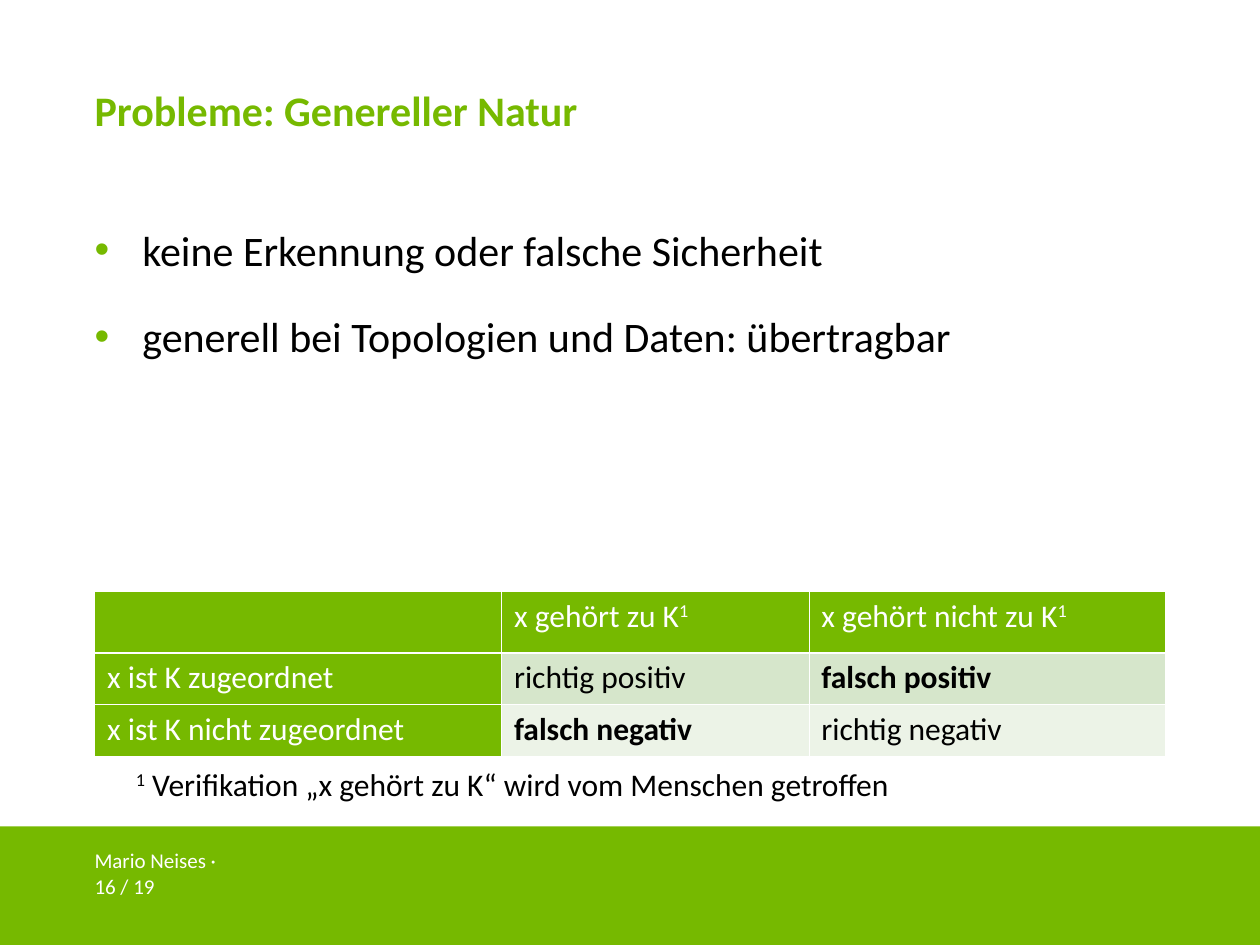
import pptx
import pptx.dml.color
import pptx.enum.shapes
import pptx.enum.text
import pptx.oxml
import pptx.oxml.ns
import pptx.util
from pptx.util import Inches

RGBColor = pptx.dml.color.RGBColor
GREEN = RGBColor(0x76, 0xB9, 0x00)
PALE = RGBColor(0xD6, 0xE6, 0xCB)
FAINT = RGBColor(0xEC, 0xF3, 0xE7)
WHITE = RGBColor(0xFF, 0xFF, 0xFF)
BLACK = RGBColor(0, 0, 0)
FONT = "Calibri"
LEFT, WIDTH = 0.75, 8.5


def node(xml):
    """Return an element built from DrawingML text."""
    head, tail = xml.split(" ", 1)
    return pptx.oxml.parse_xml(f"{head} {pptx.oxml.ns.nsdecls('a')} {tail}")


def place(shape, left, top, width, height):
    """Move and size a shape in inches."""
    shape.left, shape.top = Inches(left), Inches(top)
    shape.width, shape.height = Inches(width), Inches(height)


def style(font, size, color, bold=False):
    """Set the look of a font."""
    font.name, font.size, font.bold = FONT, pptx.util.Pt(size), bold
    font.color.rgb = color


def write(para, text, size, color, bold=False):
    """Write text in which carets enclose superscripts."""
    para.alignment = pptx.enum.text.PP_ALIGN.LEFT
    for pos, part in enumerate(text.split("^")):
        if part:
            run = para.add_run()
            run.text = part
            style(run.font, size, color, bold)
            if pos % 2:
                run.font._element.set("baseline", "30000")


def frame(shape):
    """Strip margins and autofit from a text frame."""
    box = shape.text_frame
    box.margin_left = box.margin_right = box.margin_top = box.margin_bottom = 0
    box.auto_size = pptx.enum.text.MSO_AUTO_SIZE.NONE
    box.vertical_anchor = pptx.enum.text.MSO_ANCHOR.TOP
    box.word_wrap = True
    return box


def add_bar(slide, *area):
    """Add a plain green rectangle."""
    kind = pptx.enum.shapes.MSO_SHAPE.RECTANGLE
    bar = slide.shapes.add_shape(kind, *map(Inches, area))
    bar.shadow.inherit = False
    bar.fill.solid()
    bar.fill.fore_color.rgb = GREEN
    bar.line.fill.background()
    return bar


def add_title(slide, text):
    """Fill the title placeholder."""
    title = slide.shapes.title
    place(title, LEFT, 0.67, WIDTH, 0.83)
    write(frame(title).paragraphs[0], text, 24, GREEN, True)


def add_list(slide, items):
    """Fill the body placeholder with bullets."""
    body = slide.placeholders[1]
    place(body, LEFT, 1.58, WIDTH, 4.83)
    box = frame(body)
    box.text = "\n".join(items)
    for pos, para in enumerate(box.paragraphs):
        props = para._p.get_or_add_pPr()
        props.set("marL", str(Inches(0.38)))
        props.set("indent", str(-Inches(0.38)))
        props.append(node(f'<a:buClr ><a:srgbClr val="{GREEN}"/></a:buClr>'))
        props.append(node('<a:buFont typeface="Arial"/>'))
        props.append(node('<a:buChar char="•"/>'))
        para.line_spacing = 1.5
        para.space_before = pptx.util.Pt(6 if pos else 0)
        style(para.runs[0].font, 24, BLACK)


def add_foot(slide, lines):
    """Add the footer band and its text."""
    add_bar(slide, 0, 6.56, 10, 0.94)
    box = frame(add_bar(slide, LEFT, 6.73, 4.25, 0.5))
    box.text = "\n".join(lines)
    for para in box.paragraphs:
        para.alignment = pptx.enum.text.PP_ALIGN.LEFT
        style(para.runs[0].font, 12, WHITE)


def edge(cell, top, base):
    """Draw white borders round a cell."""
    props = cell._tc.get_or_add_tcPr()
    widths = {"lnL": 0.45, "lnR": 0.45, "lnT": top, "lnB": base}
    for pos, (tag, wide) in enumerate(widths.items()):
        props.insert(pos, node(
            f'<a:{tag} w="{pptx.util.Pt(wide)}"><a:solidFill>'
            f'<a:srgbClr val="{WHITE}"/></a:solidFill></a:{tag}>'))


def add_grid(slide, rows, wides, highs):
    """Add the table of outcomes."""
    area = map(Inches, (LEFT, 4.69, WIDTH, sum(highs)))
    table = slide.shapes.add_table(len(rows), len(wides), *area).table
    table.horz_banding = False
    table.first_col = True
    for col, wide in zip(table.columns, wides):
        col.width = Inches(wide)
    for r, (texts, high) in enumerate(zip(rows, highs)):
        table.rows[r].height = Inches(high)
        for c, text in enumerate(texts):
            cell = table.cell(r, c)
            head = r == 0 or c == 0
            cell.fill.solid()
            cell.fill.fore_color.rgb = GREEN if head else (PALE, FAINT)[r - 1]
            edge(cell, 1.47 if r == 1 else 0.45, 1.47 if r == 0 else 0.45)
            write(cell.text_frame.paragraphs[0], text, 18,
                  WHITE if head else BLACK, text.startswith("falsch"))


def add_note(slide, text):
    """Add the footnote under the table."""
    box = slide.shapes.add_textbox(*map(Inches, (0.98, 6.02, 6.22, 0.4)))
    box.text_frame.word_wrap = False
    box.text_frame.auto_size = pptx.enum.text.MSO_AUTO_SIZE.SHAPE_TO_FIT_TEXT
    write(box.text_frame.paragraphs[0], text, 18, BLACK)


def main():
    """Build and save the slide."""
    deck = pptx.Presentation()
    deck.slide_width, deck.slide_height = Inches(10), Inches(7.5)
    slide = deck.slides.add_slide(deck.slide_layouts[1])
    add_title(slide, "Probleme: Genereller Natur")
    add_list(slide, ["keine Erkennung oder falsche Sicherheit",
                     "generell bei Topologien und Daten: übertragbar"])
    add_foot(slide, ["Mario Neises ·", "16 / 19"])
    rows = [
        ["", "x gehört zu K^1^", "x gehört nicht zu K^1^"],
        ["x ist K zugeordnet", "richtig positiv", "falsch positiv"],
        ["x ist K nicht zugeordnet", "falsch negativ", "richtig negativ"],
    ]
    add_grid(slide, rows, [3.23, 2.44, 2.83], [0.49, 0.41, 0.41])
    add_note(slide, "^1^ Verifikation „x gehört zu K“ wird vom Menschen getroffen")
    deck.save("out.pptx")


if __name__ == "__main__":
    main()
